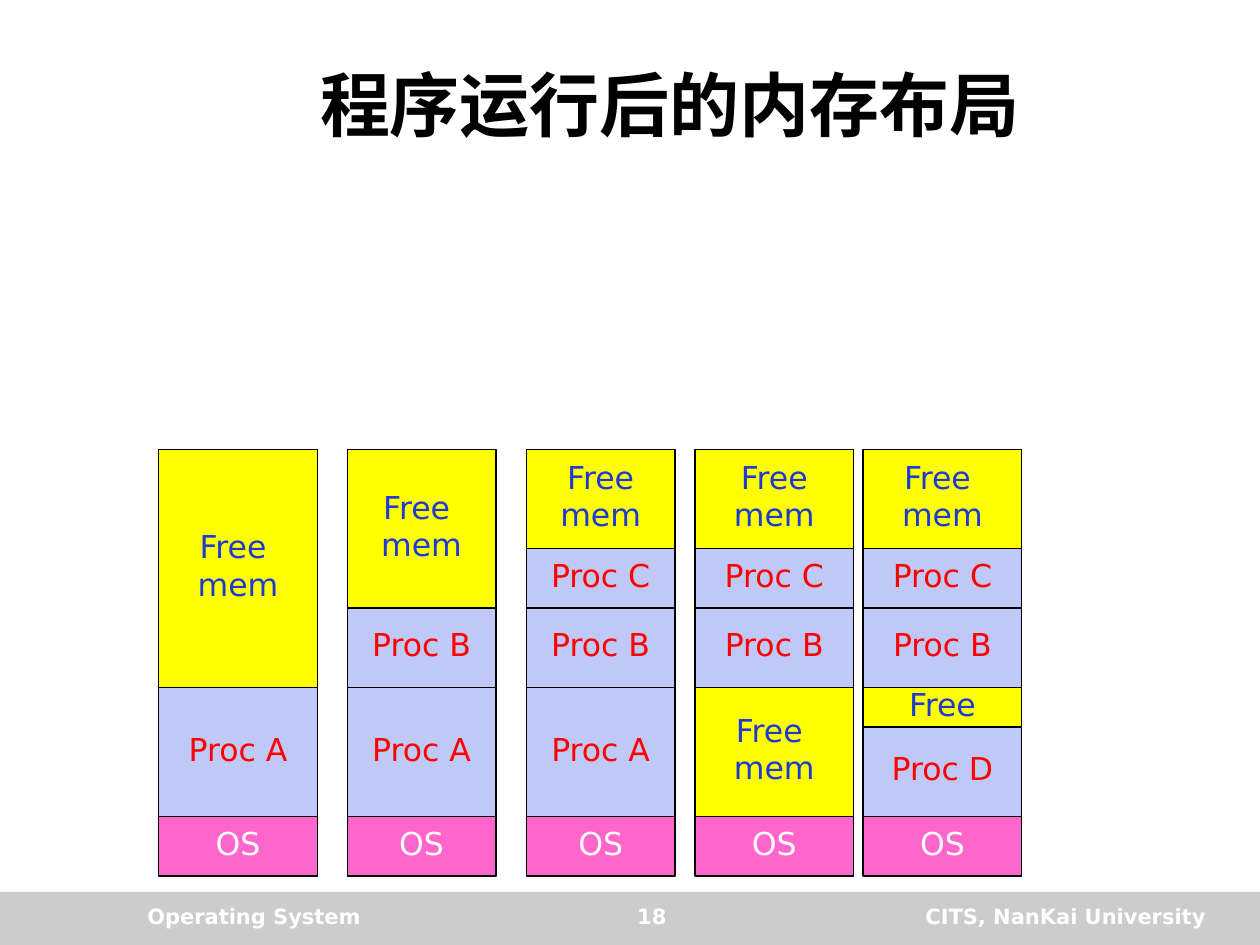
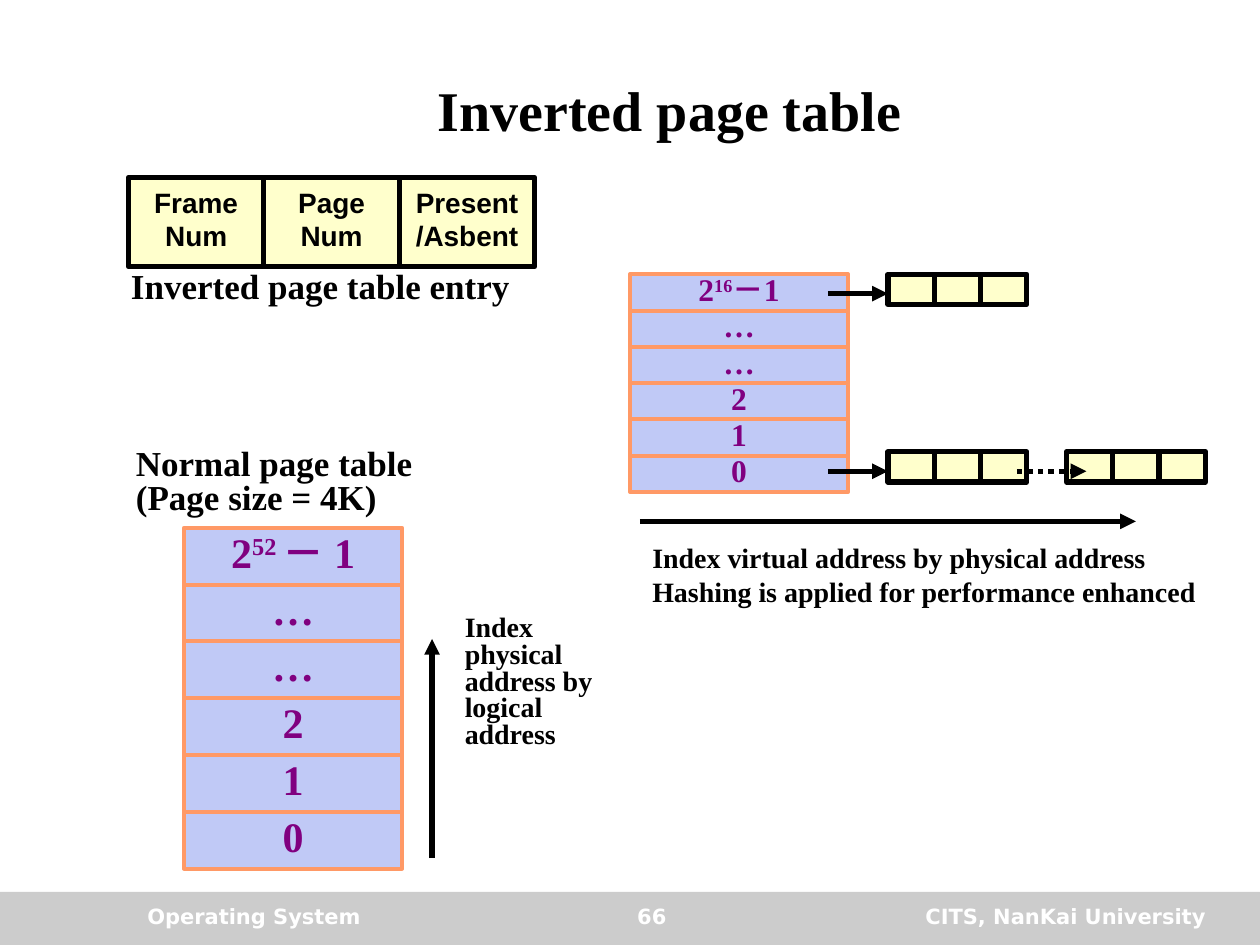
import pptx
import pptx.util
import pptx.dml.color
import pptx.enum.dml
import pptx.enum.shapes
import pptx.enum.text
import pptx.oxml.ns
from lxml import etree

Cm, Pt = pptx.util.Cm, pptx.util.Pt
RGBColor = pptx.dml.color.RGBColor
ALIGN = pptx.enum.text.PP_ALIGN
ANCHOR = pptx.enum.text.MSO_ANCHOR
qn = pptx.oxml.ns.qn

# Colours
BLACK = RGBColor(0x00, 0x00, 0x00)
WHITE = RGBColor(0xFF, 0xFF, 0xFF)
BAND_GREY = RGBColor(0xCC, 0xCC, 0xCC)
PERIWINKLE = RGBColor(0xC0, 0xC9, 0xF6)
YELLOW = RGBColor(0xFF, 0xFF, 0x00)
CREAM = RGBColor(0xFF, 0xFF, 0xCC)
PINK = RGBColor(0xFF, 0x66, 0xCC)
RED = RGBColor(0xFF, 0x00, 0x00)
BLUE = RGBColor(0x1D, 0x3B, 0xCE)
ORANGE = RGBColor(0xFF, 0x99, 0x66)
PURPLE = RGBColor(0x80, 0x00, 0x80)

# Text styles
SERIF, SANS = "Times New Roman", "DejaVu Sans"
FOOTER = {"name": SANS, "size": Pt(12), "bold": True, "color": WHITE}
BLOCK = {"name": SANS, "size": Pt(18), "bold": False}
FIELD = {"name": "Arial", "size": Pt(16), "bold": True, "color": BLACK}
CAPTION = {"name": SERIF, "size": Pt(20), "bold": True, "color": BLACK}
NOTE = {**CAPTION, "size": Pt(16)}
ENTRY = {"name": SERIF, "size": Pt(18), "bold": True, "color": PURPLE}
BIG_ENTRY = {**ENTRY, "size": Pt(24)}

# Fill and text colour of a memory block, by the first word of its label
BLOCK_COLOURS = {
    "Proc": (PERIWINKLE, RED),
    "Free": (YELLOW, BLUE),
    "OS": (PINK, WHITE),
}

# Left edge, width, and the blocks from top to bottom with their heights, in cm
MEMORY_STATES = [
    (3.2, 3.2, [("Free \nmem", 4.8), ("Proc A", 2.6), ("OS", 1.2)]),
    (7.0, 3.0, [("Free \nmem", 3.2), ("Proc B", 1.6), ("Proc A", 2.6), ("OS", 1.2)]),
    (10.61, 3.0, [("Free\nmem", 2), ("Proc C", 1.2), ("Proc B", 1.6),
                  ("Proc A", 2.6), ("OS", 1.2)]),
    (14.01, 3.2, [("Free\nmem", 2), ("Proc C", 1.2), ("Proc B", 1.6),
                  ("Free \nmem", 2.6), ("OS", 1.2)]),
    (17.4, 3.2, [("Free \nmem", 2), ("Proc C", 1.2), ("Proc B", 1.6),
                 ("Free", 0.8), ("Proc D", 1.8), ("OS", 1.2)]),
]


def write(frame, text, style, align, spacing=0.8):
    """Fill a text frame; text between ^ marks is superscript."""
    for index, line in enumerate(text.split("\n")):
        paragraph = frame.paragraphs[0] if index == 0 else frame.add_paragraph()
        paragraph.alignment = align
        paragraph.line_spacing = spacing
        if index:
            paragraph.space_before = Pt(round(style["size"].pt * 0.235, 1))
        for part, piece in enumerate(line.split("^")):
            run = paragraph.add_run()
            run.text = piece
            for key, value in style.items():
                if key == "color":
                    run.font.color.rgb = value
                else:
                    setattr(run.font, key, value)
            if part % 2:
                run.font._element.set("baseline", "30000")


def add_text(slide, box, text, style, align=ALIGN.LEFT, anchor=ANCHOR.TOP, spacing=0.8):
    frame = slide.shapes.add_textbox(*map(Cm, box)).text_frame
    frame.word_wrap = True
    frame.vertical_anchor = anchor
    write(frame, text, style, align, spacing)


def add_cell(slide, box, fill, line=None, weight=0, text="", style=None):
    cell = slide.shapes.add_shape(
        pptx.enum.shapes.MSO_SHAPE.RECTANGLE, *map(Cm, box))
    cell.shadow.inherit = False
    cell.fill.solid()
    cell.fill.fore_color.rgb = fill
    if line is None:
        cell.line.fill.background()
    else:
        cell.line.color.rgb = line
        cell.line.width = Pt(weight)
    if text:
        cell.text_frame.word_wrap = False
        cell.text_frame.vertical_anchor = ANCHOR.MIDDLE
        write(cell.text_frame, text, style, ALIGN.CENTER)


def add_arrow(slide, start, end, dotted=False):
    arrow = slide.shapes.add_connector(
        pptx.enum.shapes.MSO_CONNECTOR.STRAIGHT, *map(Cm, (*start, *end)))
    arrow.line.color.rgb = BLACK
    arrow.line.width = Pt(3)
    if dotted:
        arrow.line.dash_style = pptx.enum.dml.MSO_LINE.ROUND_DOT
    properties = arrow._element.spPr
    etree.SubElement(properties.find(qn("a:ln")), qn("a:tailEnd"), type="triangle")
    etree.SubElement(properties, qn("a:effectLst"))


def add_page(deck, title, title_size, title_height, number):
    """Blank slide with the shared title, grey band and footers."""
    slide = deck.slides.add_slide(deck.slide_layouts[6])
    add_cell(slide, (0, 17.98, 25.4, 1.07), BAND_GREY)
    add_text(slide, (2.7, 0.84, 21.6, title_height), title,
             {**CAPTION, "size": Pt(title_size)}, ALIGN.CENTER, ANCHOR.MIDDLE, 1.0)
    for left, width, text, align in [
        (2.72, 7, "Operating System", ALIGN.LEFT),
        (16.5, 8.06, "CITS, NanKai University", ALIGN.RIGHT),
        (10.18, 5.92, number, ALIGN.CENTER),
    ]:
        add_text(slide, (left, 18.08, width, 0.84), text, FOOTER, align, spacing=1.0)
    return slide


def add_memory(slide, left, top, width, blocks):
    """One memory state: blocks stacked downwards."""
    for label, height in blocks:
        fill, colour = BLOCK_COLOURS[label.split()[0]]
        add_cell(slide, (left, top, width, height), fill, BLACK, 0.75,
                 label, {**BLOCK, "color": colour})
        top += height


def add_page_table(slide, box, top_entry, style):
    """Equal rows, numbered from the bottom up."""
    left, top, width, height = box
    entries = [top_entry, "…", "…", "2", "1", "0"]
    row = height / len(entries)
    for index, entry in enumerate(entries):
        add_cell(slide, (left, top + index * row, width, row),
                 PERIWINKLE, ORANGE, 2.25, entry, style)


def add_record(slide, box, fields=("", "", "")):
    """Equal fields side by side."""
    left, top, width, height = box
    step = width / len(fields)
    for index, field in enumerate(fields):
        add_cell(slide, (left + index * step, top, step, height),
                 CREAM, BLACK, 3, field, FIELD)


def add_entry_format(slide, left, top):
    add_record(slide, (left + 0.2, top, 8.19, 1.8),
               ("Frame\nNum", "Page\nNum", "Present\n/Asbent"))
    add_text(slide, (left, top + 1.79, 8.33, 0.94), "Inverted page table entry", CAPTION)


def add_inverted_table(slide, left, top):
    add_page_table(slide, (left, top, 4.4, 4.39), "2^16^－1", ENTRY)
    # Chains of entries at the first and last rows
    for chain_top in (top, top + 3.58):
        add_record(slide, (left + 5.2, chain_top, 2.8, 0.61))
        add_arrow(slide, (left + 3.99, chain_top + 0.39), (left + 5.2, chain_top + 0.39))
    add_record(slide, (left + 8.8, top + 3.58, 2.8, 0.61))
    add_arrow(slide, (left + 7.8, top + 3.97), (left + 9.2, top + 3.97), dotted=True)
    # Direction of lookup
    add_arrow(slide, (left + 0.2, top + 4.98), (left + 10.2, top + 4.98))
    add_text(slide, (left + 0.2, top + 5.38, 11.8, 1.5),
             "Index virtual address by physical address\n"
             "Hashing is applied for performance enhanced", NOTE)


def add_normal_table(slide, left, top):
    add_text(slide, (left, top, 6.6, 2), "Normal page table (Page size = 4K)", CAPTION)
    add_page_table(slide, (left + 1.22, top + 1.7, 4.4, 6.87), "2^52 ^－ 1", BIG_ENTRY)
    add_arrow(slide, (left + 6.22, top + 8.36), (left + 6.22, top + 3.94))
    add_text(slide, (left + 6.63, top + 3.35, 3.6, 3),
             "Index physical address by logical address", NOTE)


def main():
    deck = pptx.Presentation()
    deck.slide_width, deck.slide_height = Cm(25.4), Cm(19.05)

    layout = add_page(deck, "程序运行后的内存布局", 40, 2.5, "18")
    for left, width, blocks in MEMORY_STATES:
        add_memory(layout, left, 9.06, width, blocks)

    inverted = add_page(deck, "Inverted page table", 32, 2.72, "66")
    add_entry_format(inverted, 2.39, 3.58)
    add_inverted_table(inverted, 12.7, 5.53)
    add_normal_table(inverted, 2.49, 8.94)

    deck.save("out.pptx")


if __name__ == "__main__":
    main()
